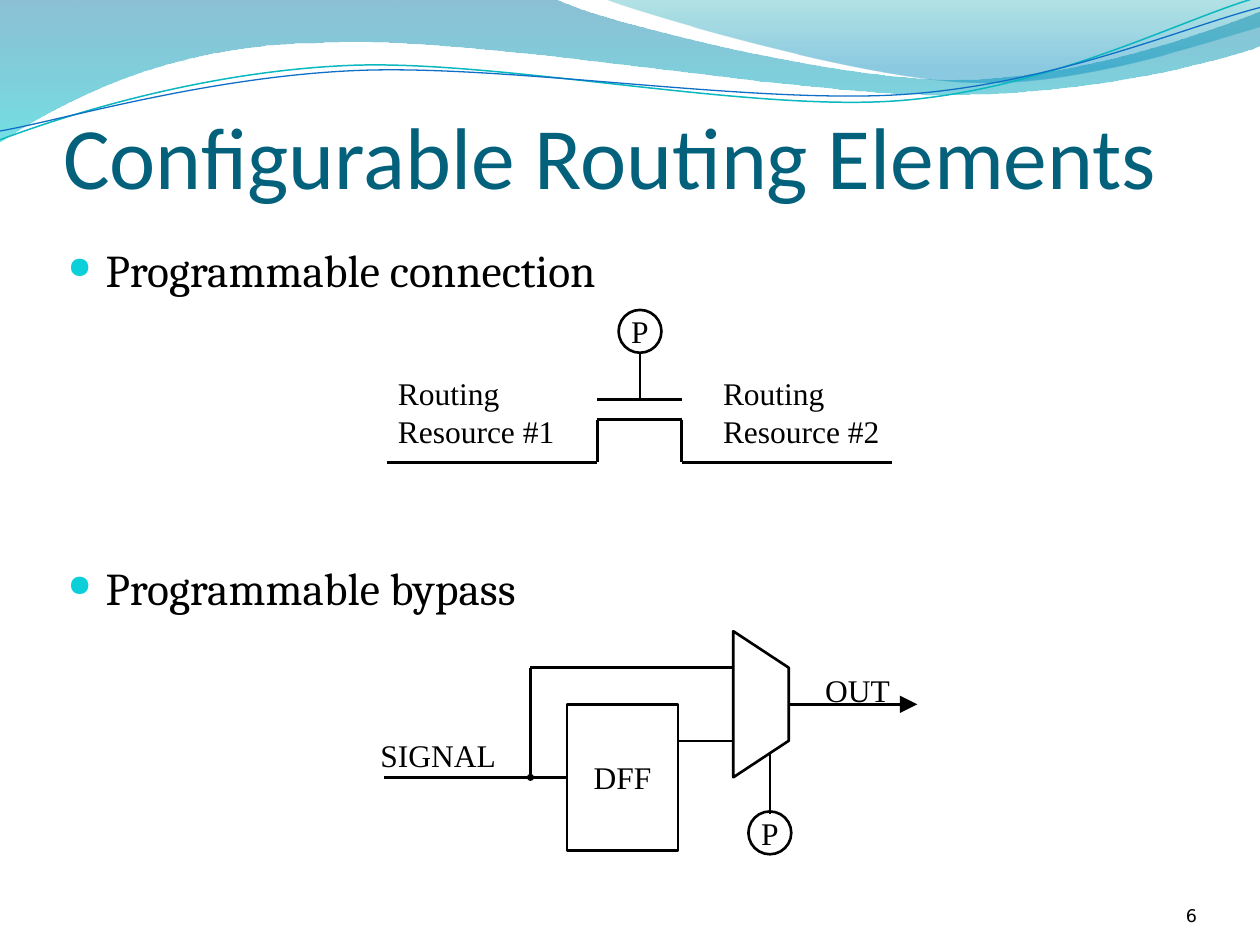
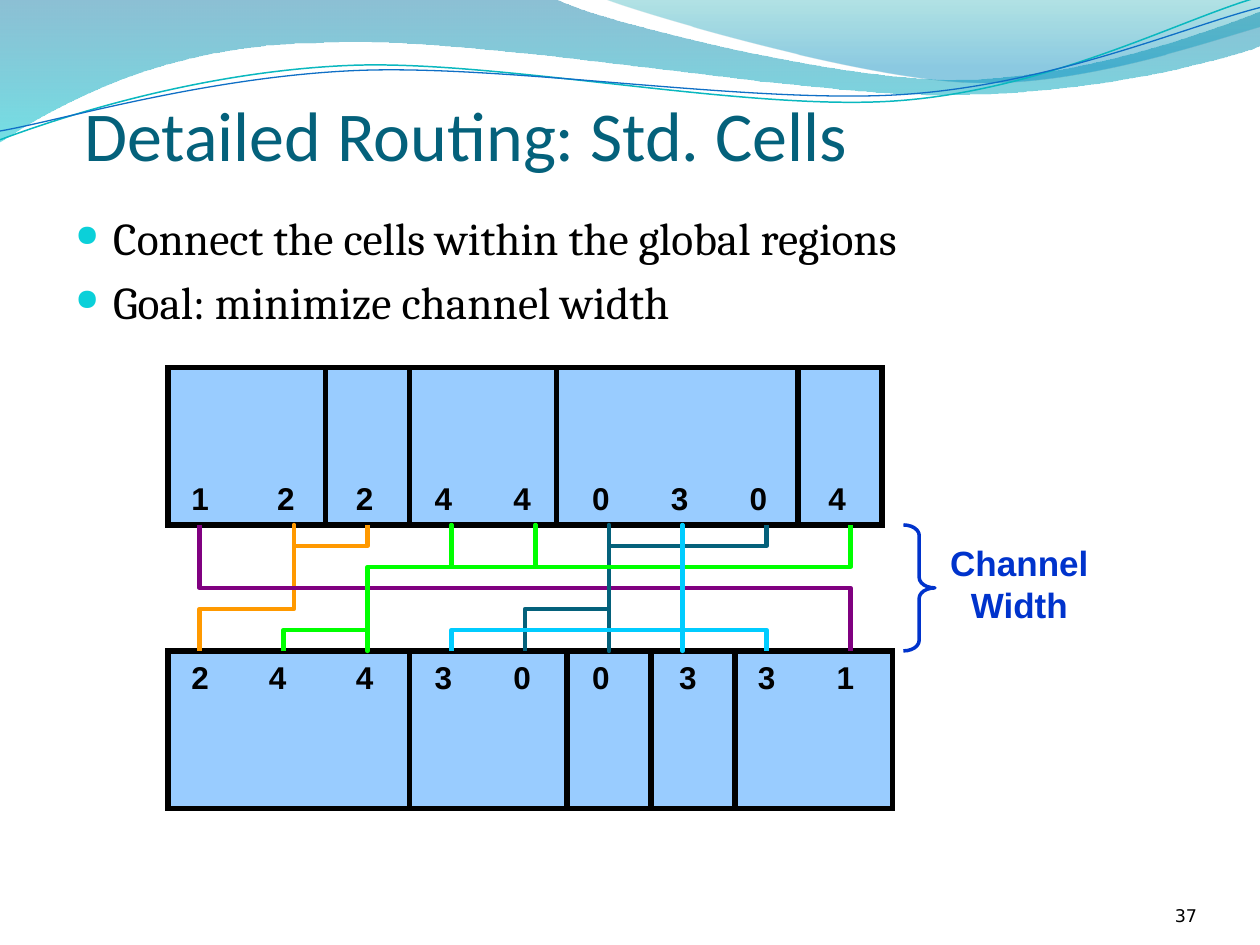
from itertools import pairwise
from lxml import etree
from pptx import Presentation
from pptx.dml.color import RGBColor
from pptx.enum import shapes, text
from pptx.oxml.ns import qn
from pptx.util import Inches, Pt


class Theme:
    title, black, bullet = "04617B", "000000", "0BD0D9"
    cell, brace = "99CCFF", "0033CC"
    heading_font, body_font, number_font = "Calibri", "Cambria", "DejaVu Sans"
    diagram_font, cell_font = "Times New Roman", "Arial"
    body_size, label_size, brace_size, number_size = 26, 18, 20, 10
    wire, net, border = 1.5, 2.5, 3


LEFT, CENTER, RIGHT = text.PP_ALIGN.LEFT, text.PP_ALIGN.CENTER, text.PP_ALIGN.RIGHT
TOP, MIDDLE, BOTTOM = (text.MSO_ANCHOR.TOP, text.MSO_ANCHOR.MIDDLE,
                       text.MSO_ANCHOR.BOTTOM)


def write(sp, words, font, size, color=Theme.black, align=LEFT, anchor=TOP,
          wrap=False, bold=False):
    tf = sp.text_frame
    tf.text = words
    tf.word_wrap, tf.vertical_anchor = wrap, anchor
    for p in tf.paragraphs:
        p.alignment = align
        for r in p.runs:
            r.font.name, r.font.size, r.font.bold = font, Pt(size), bold
            r.font.color.rgb = RGBColor.from_string(color)
    return tf


def outline(s, points, color=None, width=None, close=False):
    """Draw an unfilled path through points given in inches."""
    start, *rest = [(Inches(x), Inches(y)) for x, y in points]
    builder = s.shapes.build_freeform(*start, scale=1.0)
    builder.add_line_segments(rest, close=close)
    sp = builder.convert_to_shape()
    sp.shadow.inherit = False
    sp.fill.background()
    if color:
        sp.line.color.rgb = RGBColor.from_string(color)
        sp.line.width = Pt(width)
    else:
        sp.line.fill.background()
    return sp


prs = Presentation()
prs.slide_width, prs.slide_height = Inches(10), Inches(7.5)
layout = prs.slide_layouts[5]

# Titles, bullets and slide numbers
pages = [
    ("Configurable Routing Elements", 50, (0.5, 0.39), (0.44, 1.87),
     "Programmable connection\nProgrammable bypass", 150.5, "6"),
    ("Detailed Routing: Std. Cells", 40, (0.67, 0.14), (0.5, 1.62),
     "Connect the cells within the global regions\nGoal: minimize channel width",
     5.2, "37"),
]
slides = []
for title, size, title_at, body_at, bullets, gap, number in pages:
    s = prs.slides.add_slide(layout)
    slides.append(s)
    sp = s.shapes.title
    sp.left, sp.top = map(Inches, title_at)
    sp.width, sp.height = Inches(9), Inches(1.25)
    tf = write(sp, title, Theme.heading_font, size, Theme.title,
               anchor=BOTTOM, wrap=True)
    tf.auto_size = text.MSO_AUTO_SIZE.NONE
    tf.margin_left = tf.margin_right = tf.margin_bottom = 0

    sp = s.shapes.add_textbox(*map(Inches, body_at), Inches(9), Inches(4.8))
    tf = write(sp, bullets, Theme.body_font, Theme.body_size, wrap=True)
    tf.paragraphs[1].space_before = Pt(gap)
    for p in tf.paragraphs:
        pPr = p._p.get_or_add_pPr()
        pPr.set("marL", str(Inches(0.3)))
        pPr.set("indent", str(-Inches(0.3)))
        color = etree.SubElement(pPr, qn("a:buClr"))
        etree.SubElement(color, qn("a:srgbClr"), val=Theme.bullet)
        etree.SubElement(pPr, qn("a:buSzPct"), val="66000")
        etree.SubElement(pPr, qn("a:buChar"), char="●")

    sp = s.shapes.add_textbox(Inches(8.67), Inches(6.95), Inches(0.83), Inches(0.4))
    tf = write(sp, number, Theme.number_font, Theme.number_size,
               align=RIGHT, anchor=BOTTOM, wrap=True)
    tf.margin_left = tf.margin_right = tf.margin_top = tf.margin_bottom = 0

routing, cells = slides

# Wave header: a step of one point is a straight edge, of three a Bezier curve
waves = [
    ([[(0, -0.01)], [(4.4, -0.01)],
      [(4.76, 0.17), (6.64, 0.63), (7.58, 0.63)],
      [(8.53, 0.63), (9.58, 0.26), (10, 0.09)],
      [(10.01, 0.36)],
      [(9.83, 0.44), (8.7, 0.76), (7.46, 0.75)],
      [(6.22, 0.75), (3.82, 0.28), (2.57, 0.34)],
      [(1.29, 0.35), (0.46, 0.83), (-0.01, 1.13)]],
     None, None, [(0, "0074A1", 45), (1, "00C6CF", 55)]),
    ([[(4.79, -0.01)],
      [(5.09, 0.11), (6.82, 0.62), (7.69, 0.65)],
      [(8.56, 0.69), (9.61, 0.32), (10, 0.21)],
      [(10, 0)]],
     None, None, [(0, "00A1A9", 30), (0.8, "008BBF", 45)]),
    ([[(0, 1.11)],
      [(0.48, 0.93), (1.58, 0.57), (2.77, 0.52)],
      [(3.95, 0.47), (5.93, 0.89), (7.13, 0.8)],
      [(8.33, 0.71), (9.38, 0.15), (9.98, -0.02)]],
     "0AB8BF", 0.85, None),
    ([[(0, 1.04)],
      [(0.47, 0.96), (1.64, 0.61), (2.83, 0.56)],
      [(4.03, 0.51), (5.97, 0.83), (7.17, 0.75)],
      [(8.36, 0.67), (9.41, 0.21), (10, 0.06)]],
     "0F6FC6", 0.75, None),
]
for depth, (steps, color, width, stops) in enumerate(waves):
    sp = outline(routing, [step[-1] for step in steps], color, width,
                 close=bool(stops))
    edges = list(sp._element.iter(qn("a:lnTo")))
    for edge, step in zip(edges, steps[1:]):
        if len(step) == 3:
            curve = etree.Element(qn("a:cubicBezTo"))
            for x, y in step:
                etree.SubElement(curve, qn("a:pt"), x=str(Inches(x) - sp.left),
                                 y=str(Inches(y) - sp.top))
            edge.getparent().replace(edge, curve)
    if stops:
        sp.fill.gradient()
        sp.fill.gradient_angle = 270
        for stop, (position, rgb, alpha) in zip(sp.fill.gradient_stops, stops):
            stop.position = position
            stop.color.rgb = RGBColor.from_string(rgb)
            etree.SubElement(stop._gs.find(qn("a:srgbClr")), qn("a:alpha"),
                             val=str(alpha * 1000))
    # The layout carries the header for every slide
    layout.shapes.element.insert(2 + depth, sp._element)

# Switch boxes: programming bits and the flip-flop
OVAL, RECT = shapes.MSO_SHAPE.OVAL, shapes.MSO_SHAPE.RECTANGLE
for kind, label, at in [(OVAL, "P", (4.91, 2.46, 0.34, 0.34)),
                        (OVAL, "P", (5.94, 6.44, 0.34, 0.34)),
                        (RECT, "DFF", (4.5, 5.59, 0.88, 1.16))]:
    sp = routing.shapes.add_shape(kind, *map(Inches, at))
    sp.shadow.inherit = False
    sp.fill.background()
    sp.line.color.rgb = RGBColor.from_string(Theme.black)
    sp.line.width = Pt(Theme.wire)
    write(sp, label, Theme.diagram_font, Theme.label_size, align=CENTER, anchor=MIDDLE)
dff = sp

# Multiplexer
outline(routing, [(5.82, 6.17), (6.26, 5.88), (6.26, 5.3), (5.82, 5.01)],
        Theme.black, Theme.wire, close=True)

# Wires: each run of points becomes a chain of straight connectors
wires = [
    ([(3.07, 3.67), (4.74, 3.67), (4.74, 3.33), (5.41, 3.33), (5.41, 3.67),
      (7.08, 3.67)], None),
    ([(4.74, 3.17), (5.41, 3.17)], None),
    ([(5.08, 3.17), (5.08, 2.8)], None),
    ([(4.21, 6.17), (4.21, 5.3)], ("a:headEnd", "oval", "sm")),
    ([(4.21, 5.3), (5.82, 5.3)], None),
    ([(5.82, 5.88), (5.38, 5.88)], None),
    ([(6.26, 5.59), (7.28, 5.59)], ("a:tailEnd", "triangle", "lg")),
    ([(6.11, 5.97), (6.11, 6.46)], None),
    ([(3.05, 6.17), (4.5, 6.17)], None),
]
for points, end in wires:
    for a, b in pairwise(points):
        wire = routing.shapes.add_connector(shapes.MSO_CONNECTOR.STRAIGHT,
                                            *map(Inches, a + b))
        wire.line.color.rgb = RGBColor.from_string(Theme.black)
        wire.line.width = Pt(Theme.wire)
        if end:
            tag, kind, size = end
            etree.SubElement(wire.line._get_or_add_ln(), qn(tag), type=kind,
                             w=size, len=size)
        etree.SubElement(wire._element.spPr, qn("a:effectLst"))
wire.end_connect(dff, 1)

# Wire labels
for label, at in [("Routing\nResource #1", (3.06, 2.92, 1.44, 0.7)),
                  ("Routing\nResource #2", (5.64, 2.92, 1.44, 0.7)),
                  ("OUT", (6.45, 5.28, 0.72, 0.4)),
                  ("SIGNAL", (2.92, 5.79, 1.12, 0.4))]:
    sp = routing.shapes.add_textbox(*map(Inches, at))
    write(sp, label, Theme.diagram_font, Theme.label_size)

# Standard cells on a grid of twelve units to the inch
GRID = 12
rows = [(35, [(16, 15), (31, 8), (39, 15), (53, 23), (76, 8)]),
        (62, [(39, 15), (54, 8), (70, 15), (16, 23), (62, 8)])]
for top, row in rows:
    for left, width in row:
        sp = cells.shapes.add_shape(
            RECT, *(Inches(v / GRID) for v in (left, top, width, 15)))
        sp.shadow.inherit = False
        sp.fill.solid()
        sp.fill.fore_color.rgb = RGBColor.from_string(Theme.cell)
        sp.line.color.rgb = RGBColor.from_string(Theme.black)
        sp.line.width = Pt(Theme.border)
        etree.SubElement(sp.line._get_or_add_ln(), qn("a:miter"), lim="800000")

# Channel brace
sp = cells.shapes.add_shape(shapes.MSO_SHAPE.RIGHT_BRACE, Inches(7.17),
                            Inches(50 / GRID), Inches(0.25), Inches(1))
sp.adjustments[0] = 0.333
sp.shadow.inherit = False
sp.fill.background()
sp.line.color.rgb = RGBColor.from_string(Theme.brace)
sp.line.width = Pt(2)
sp = cells.shapes.add_textbox(Inches(7.43), Inches(4.25), Inches(1.32), Inches(0.77))
write(sp, "Channel Width", Theme.cell_font, Theme.brace_size, Theme.brace,
      align=CENTER, wrap=True, bold=True)

# Pin numbers, spread by centred tabs; a few gaps are wider
for pins, top, wide_gaps in [("122440304", 3.75, {1}), ("244300331", 5.17, {2, 6})]:
    sp = cells.shapes.add_textbox(Inches(1.42), Inches(top), Inches(5.48), Inches(0.4))
    tf = write(sp, "\t".join(pins), Theme.cell_font, Theme.label_size,
               wrap=True, bold=True)
    tf.margin_right = 0
    tabs = etree.SubElement(tf.paragraphs[0]._p.get_or_add_pPr(), qn("a:tabLst"))
    position = 0.06
    for k in range(1, len(pins)):
        position += 0.69 if k in wide_gaps else 0.625
        etree.SubElement(tabs, qn("a:tab"), pos=str(Inches(position)), algn="ctr")

# Nets in the channel, in grid units
nets = [
    ("FF9900", [(19, 62), (19, 58), (28, 58), (28, 50), (28, 52), (35, 52), (35, 50)]),
    ("800080", [(19, 50), (19, 56), (81, 56), (81, 62)]),
    ("04617B", [(50, 62), (50, 58), (58, 58), (58, 62), (58, 50), (58, 52),
                (73, 52), (73, 50)]),
    ("00FF00", [(27, 62), (27, 60), (35, 60), (35, 62), (35, 54), (43, 54), (43, 50),
                (43, 54), (51, 54), (51, 50), (51, 54), (81, 54), (81, 50)]),
    ("00CCFF", [(43, 62), (43, 60), (65, 60), (65, 62), (65, 50), (65, 60),
                (73, 60), (73, 62)]),
]
for color, points in nets:
    outline(cells, [(x / GRID, y / GRID) for x, y in points], color, Theme.net)

prs.save("out.pptx")
